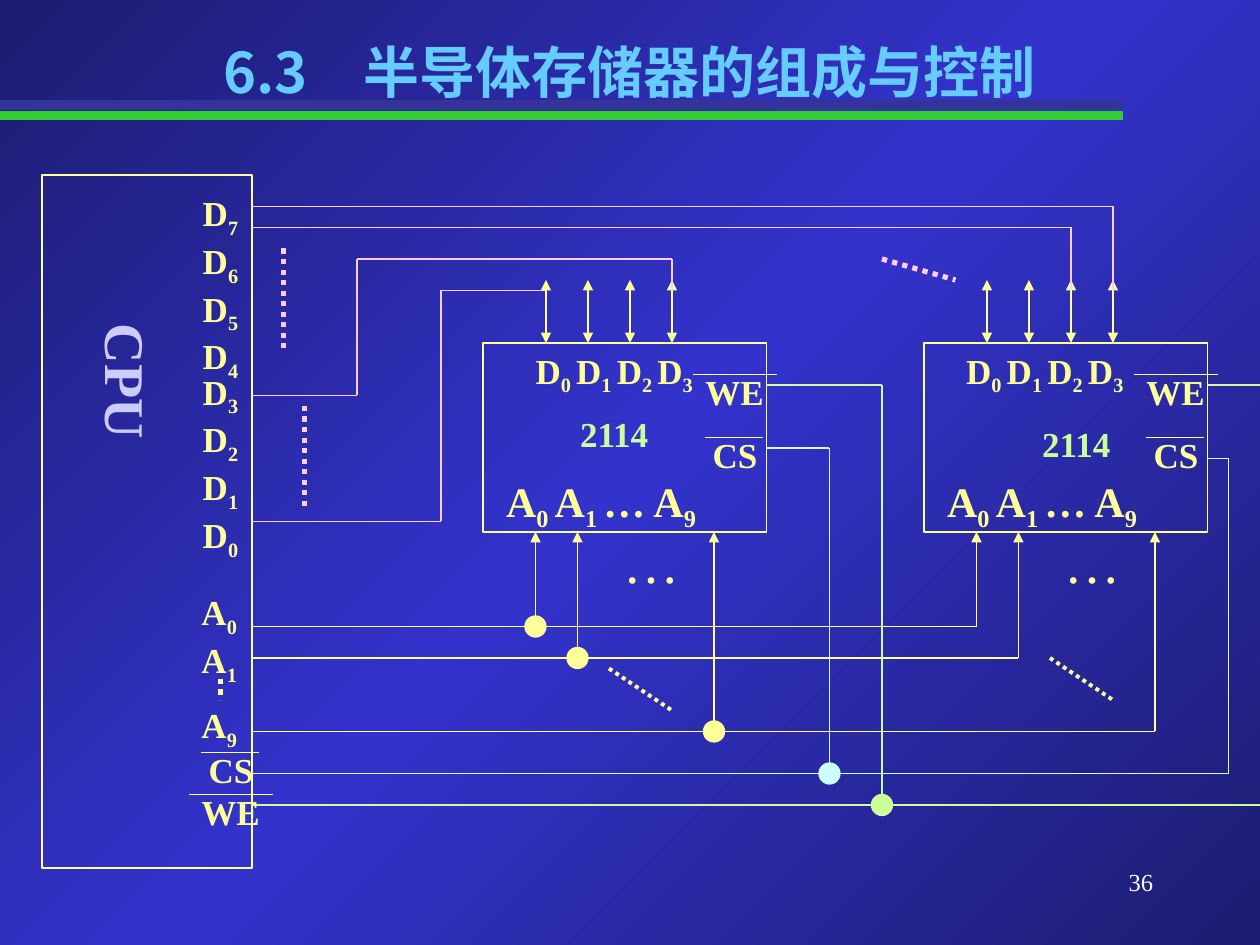
from copy import deepcopy
from dataclasses import dataclass

from lxml.etree import SubElement
from pptx import Presentation
from pptx.dml.color import RGBColor
from pptx.enum.dml import MSO_LINE
from pptx.enum.shapes import MSO_CONNECTOR, MSO_SHAPE
from pptx.enum.text import MSO_ANCHOR, PP_ALIGN as Align
from pptx.oxml.ns import qn
from pptx.util import Pt

YELLOW = RGBColor(0xFF, 0xFF, 0x99)
GREEN = RGBColor(0xCC, 0xFF, 0x99)
CYAN = RGBColor(0xCC, 0xFF, 0xFF)
PINK = RGBColor(0xFF, 0xCC, 0xFF)
LAVENDER = RGBColor(0xCC, 0xCC, 0xFF)
WHITE = RGBColor(0xFF, 0xFF, 0xFF)
SKY = RGBColor(0x66, 0xCC, 0xFF)
RULE_GREEN = RGBColor(0x33, 0xCC, 0x33)
RULE_BLUE = RGBColor(0x33, 0x33, 0x99)
BACK_DARK = RGBColor(0x1C, 0x1C, 0x70)
BACK_LIGHT = RGBColor(0x33, 0x33, 0xCC)

SERIF = "Times New Roman"
SANS = "Noto Sans CJK SC"
Point = tuple[float, float]


@dataclass
class Chip:
    left: float
    data_left: float
    name_left: float
    name_top: float


@dataclass
class AddressLine:
    offset: float  # pin position from the left side of each chip
    level: float


CHIPS = [Chip(276, 264, 246, 232), Chip(528, 510, 510, 238)]
CHIP_TOP, CHIP_WIDTH, CHIP_HEIGHT = 196, 162, 108
CHIP_BOTTOM = CHIP_TOP + CHIP_HEIGHT
ADDRESS_LINES = [AddressLine(30, 358), AddressLine(54, 376), AddressLine(132, 418)]
ARROW_START = 346
CPU_RIGHT = 144
DATA_ROUTES = [
    [(CPU_RIGHT, 118), (636, 118), (636, 166)],
    [(CPU_RIGHT, 130), (612, 130), (612, 166)],
    [(CPU_RIGHT, 226), (204, 226), (204, 148), (384, 148), (384, 166)],
]
LOWEST_DATA_ROUTE = [(CPU_RIGHT, 298), (252, 298), (252, 166), (312, 166)]
DOTTED = [
    ((348, 382), (384, 406), YELLOW, 2.25),
    ((600, 376), (636, 400), YELLOW, 2.25),
    ((126, 388), (126, 400), YELLOW, 3),
    ((162, 142), (162, 202), PINK, 3),
    ((174, 232), (174, 292), PINK, 3),
    ((504, 148), (546, 160), PINK, 3),
]

deck = Presentation()
deck.slide_width, deck.slide_height = Pt(720), Pt(540)
page = deck.slides.add_slide(deck.slide_layouts[5])


def paint_background() -> None:
    fill = page.background.fill
    fill.gradient()
    first = fill.gradient_stops[0]._gs
    first.addnext(deepcopy(first))
    colours = (BACK_DARK, BACK_LIGHT, BACK_DARK)
    for stop, position, colour in zip(fill.gradient_stops, (0, 0.5, 1), colours):
        stop.position = position
        stop.color.rgb = colour
    fill.gradient_angle = 315


def line(start: Point, end: Point, colour: RGBColor, weight: float = 0.75,
         heads: tuple[str, ...] = ()):
    """Draw a straight line; heads may hold headEnd and tailEnd."""
    connector = page.shapes.add_connector(
        MSO_CONNECTOR.STRAIGHT, *(Pt(value) for value in start + end))
    connector.line.color.rgb = colour
    connector.line.width = Pt(weight)
    outline = connector.line._get_or_add_ln()
    for head in heads:
        SubElement(outline, qn(f"a:{head}"), type="triangle")
    SubElement(connector._element.spPr, qn("a:effectLst"))
    return connector


def route(points: list[Point], colour: RGBColor) -> list:
    return [line(start, end, colour) for start, end in zip(points, points[1:])]


def shape(kind: MSO_SHAPE, left: float, top: float, width: float, height: float,
          colour: RGBColor, filled: bool = False):
    item = page.shapes.add_shape(kind, Pt(left), Pt(top), Pt(width), Pt(height))
    item.shadow.inherit = False
    item.line.color.rgb = colour
    item.line.width = Pt(0.75)
    if filled:
        item.fill.solid()
        item.fill.fore_color.rgb = colour
    else:
        item.fill.background()
    return item


def junction(x: float, y: float, colour: RGBColor) -> None:
    shape(MSO_SHAPE.OVAL, x - 6, y - 6, 12, 12, colour, filled=True)


def label(text: str, left: float, top: float, width: float, height: float = 31,
          size: float = 20, colour: RGBColor = YELLOW, align: Align = Align.CENTER,
          bold: bool = True):
    """Add a text box; every second part between bars is a subscript."""
    box = page.shapes.add_textbox(Pt(left), Pt(top), Pt(width), Pt(height))
    frame = box.text_frame
    frame.word_wrap = True
    for number, words in enumerate(text.split("\n")):
        para = frame.add_paragraph() if number else frame.paragraphs[0]
        para.alignment = align
        para.space_before = Pt(size / 2)
        font = para.font
        font.name, font.size, font.bold = SERIF, Pt(size), bold
        font.color.rgb = colour
        for index, part in enumerate(words.split("|")):
            if part:
                span = para.add_run()
                span.text = part
                if index % 2:
                    span._r.get_or_add_rPr().set("baseline", "-25000")
    return frame


def control_pins(select: Point, write: Point) -> None:
    """Label the overlined CS and WE pins from their top left corners."""
    left, top = select
    label("CS", left, top, 60)
    line((left + 13, top + 6), (left + 46, top + 6), YELLOW)
    left, top = write
    label("WE", left, top, 72, align=Align.LEFT)
    line((left, top + 6), (left + 48, top + 6), YELLOW)


def draw_chip(chip: Chip) -> None:
    left = chip.left
    label("2114", chip.name_left, chip.name_top, 210, colour=GREEN)
    pins = label("A|0 |A|1 |… A|9", left, 268, 192, 36, 24, align=Align.LEFT)
    pins.margin_left = Pt(13.2)
    shape(MSO_SHAPE.RECTANGLE, left, CHIP_TOP, CHIP_WIDTH, CHIP_HEIGHT, YELLOW)
    for address in ADDRESS_LINES:
        x = left + address.offset
        line((x, ARROW_START), (x, CHIP_BOTTOM), YELLOW, heads=("tailEnd",))
    label("…", left + 72, 298, 48, 45, 32, bold=False)
    for bit in range(4):
        x = left + 36 + 24 * bit
        line((x, 160), (x, CHIP_TOP), YELLOW, heads=("headEnd", "tailEnd"))
    label("D|0 |D|1 |D|2 |D|3", chip.data_left, CHIP_TOP, 174)
    control_pins((left + 114, 244), (left + 120, 208))


def draw_title() -> None:
    line((0, 66), (642, 66), RULE_GREEN, 5.5)
    line((0, 60), (642, 60), RULE_BLUE, 5.5)
    title = page.shapes.title
    title.left, title.top, title.width, title.height = Pt(0), Pt(18), Pt(720), Pt(45)
    title.text_frame.vertical_anchor = MSO_ANCHOR.TOP
    title.text = "6.3　半导体存储器的组成与控制"
    para = title.text_frame.paragraphs[0]
    para.alignment = Align.CENTER
    para.font.name, para.font.size, para.font.bold = SANS, Pt(32), True
    para.font.color.rgb = SKY
    para.runs[0]._r.get_or_add_rPr().get_or_add_latin().set("typeface", SANS)
    SubElement(para.runs[0]._r.rPr, qn("a:ea"), typeface=SANS)


paint_background()
draw_title()
label("36", 516, 492, 150, 36, 14, WHITE, Align.RIGHT, bold=False)
for chip in CHIPS:
    draw_chip(chip)

cpu = shape(MSO_SHAPE.RECTANGLE, 24, 100, 120, 396, YELLOW)
for address in ADDRESS_LINES:
    near, far = (chip.left + address.offset for chip in CHIPS)
    route([(CPU_RIGHT, address.level), (far, address.level), (far, ARROW_START)], YELLOW)
    line((near, ARROW_START), (near, address.level), YELLOW)
    junction(near, address.level, YELLOW)
label("A|0 |A|1|\nA|9", 108, 334, 48, 92, align=Align.LEFT)

route([(438, 256), (474, 256), (474, 442), (CPU_RIGHT, 442)], CYAN)
route([(474, 442), (702, 442), (702, 262), (690, 262)], CYAN)
junction(474, 442, CYAN)
route([(438, 220), (504, 220), (504, 460), (CPU_RIGHT, 460)], GREEN)
line((504, 460), (720, 460), GREEN)
line((720, 220), (690, 220), GREEN)
junction(504, 460, GREEN)

control_pins((102, 424), (108, 448))
label("D|3 |D|2 |D|1 |D|0", 102, 208, 48, 103)
label("D|7 |D|6 |D|5 |D|4", 102, 106, 48, 103)
for points in DATA_ROUTES:
    route(points, PINK)
route(LOWEST_DATA_ROUTE, PINK)[0].begin_connect(cpu, 3)
for start, end, colour, weight in DOTTED:
    line(start, end, colour, weight).line.dash_style = MSO_LINE.ROUND_DOT
cpu_name = label("CPU", 43, 178, 53, 144, 32, LAVENDER)
cpu_name._txBody.bodyPr.set("vert", "eaVert")

deck.save("out.pptx")
